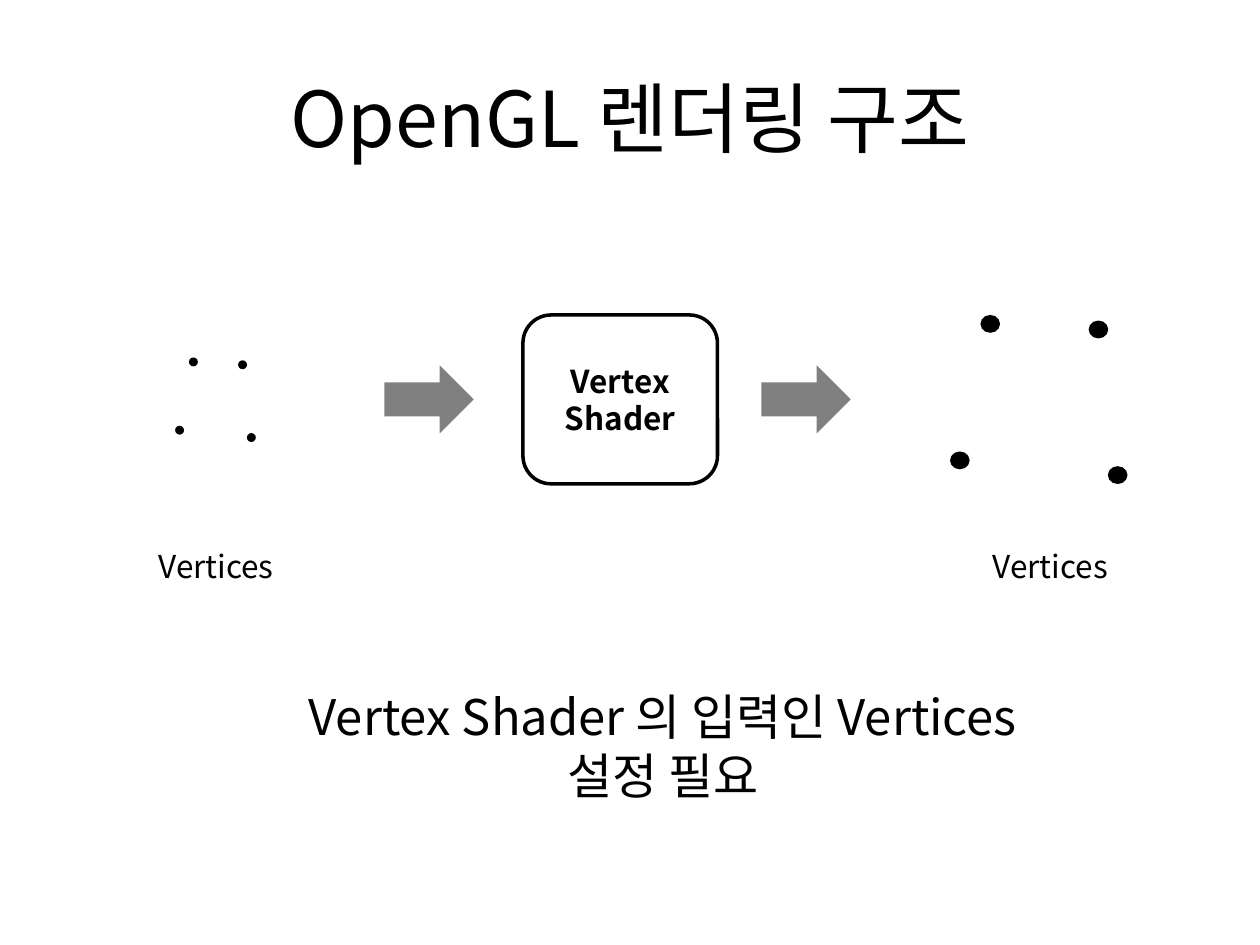
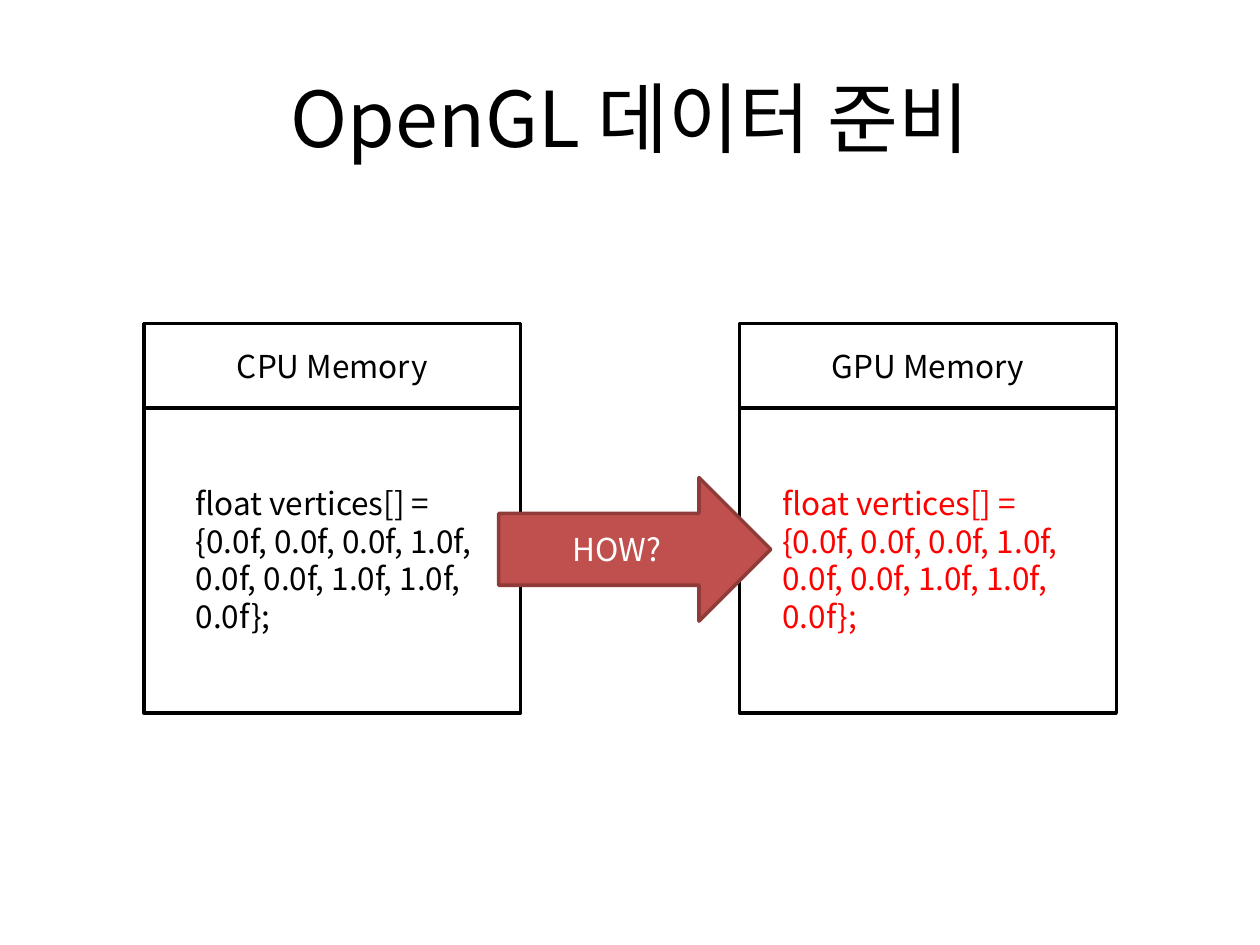
from pptx import Presentation
from pptx.dml.color import RGBColor
from pptx.enum.shapes import MSO_SHAPE
from pptx.enum.text import MSO_ANCHOR, PP_ALIGN
from pptx.oxml.ns import qn
from pptx.util import Pt
from lxml.etree import SubElement

FONT = "Noto Sans CJK KR"
BLACK, WHITE, GRAY = "000000", "FFFFFF", "808080"
RED, BRICK, DARK_BRICK = "FF0000", "C0504D", "8E3B39"
BLANK_LAYOUT = 6


def rgb(hex_code):
    """Turn a hex string into a colour."""
    return RGBColor.from_string(hex_code)


class Deck:
    """Holds the shared style and the current slide."""

    def __init__(self):
        """Start an empty 4:3 presentation."""
        self.presentation = Presentation()
        self.presentation.slide_width = Pt(720)
        self.presentation.slide_height = Pt(540)

    def new_slide(self, title):
        """Add a slide with its centred title."""
        layout = self.presentation.slide_layouts[BLANK_LAYOUT]
        self.slide = self.presentation.slides.add_slide(layout)
        self.text(title, 36, 21.6, 648, 90, size=44,
                  align=PP_ALIGN.CENTER, anchor=MSO_ANCHOR.MIDDLE)

    def set_label(self, shape, words, size, color, bold, align, anchor):
        """Put one styled paragraph into a shape."""
        frame = shape.text_frame
        frame.text = words
        frame.word_wrap = True
        frame.vertical_anchor = anchor
        paragraph = frame.paragraphs[0]
        paragraph.alignment = align
        for run in paragraph.runs:
            run.font.name = FONT
            run.font.size = Pt(size)
            run.font.bold = bold
            run.font.color.rgb = rgb(color)
            east_asian = SubElement(run._r.get_or_add_rPr(), qn("a:ea"))
            east_asian.set("typeface", FONT)

    def text(self, words, left, top, width, height, size=18, color=BLACK,
             align=PP_ALIGN.LEFT, anchor=MSO_ANCHOR.TOP):
        """Add a wrapped text box."""
        box = self.slide.shapes.add_textbox(
            Pt(left), Pt(top), Pt(width), Pt(height))
        self.set_label(box, words, size, color, False, align, anchor)

    def shape(self, kind, left, top, width, height, fill, line=None,
              words=None, color=BLACK, bold=False):
        """Add a flat preset shape, with a centred label if given."""
        shape = self.slide.shapes.add_shape(
            kind, Pt(left), Pt(top), Pt(width), Pt(height))
        shape.shadow.inherit = False
        shape.fill.solid()
        shape.fill.fore_color.rgb = rgb(fill)
        if line:
            shape.line.color.rgb = rgb(line)
            shape.line.width = Pt(2)
        else:
            shape.line.fill.background()
        if words:
            self.set_label(shape, words, 18, color, bold,
                           PP_ALIGN.CENTER, MSO_ANCHOR.MIDDLE)

    def vertices(self, left, top, scale_x=1, scale_y=1):
        """Draw the four corner dots, stretched by the given scales."""
        for x, y in ((7.9, 0), (0, 39), (41, 43.2), (36, 1.6)):
            self.shape(MSO_SHAPE.FLOWCHART_CONNECTOR,
                       left + x * scale_x, top + y * scale_y,
                       5.1 * scale_x, 5.1 * scale_y, BLACK)

    def memory(self, name, left):
        """Draw a memory block with its heading band."""
        for height, words in ((222.5, None), (48.3, name)):
            self.shape(MSO_SHAPE.FLOWCHART_PROCESS, left, 185, 215.3, height,
                       WHITE, BLACK, words)


deck = Deck()

deck.new_slide("OpenGL 렌더링 구조")
deck.vertices(100.1, 204.3)
deck.vertices(542.9, 180, scale_x=2.2, scale_y=2)
for arrow_left in (219.6, 435):
    deck.shape(MSO_SHAPE.RIGHT_ARROW, arrow_left, 208.8, 51.1, 38.9, GRAY)
for caption_left in (83.5, 560.2):
    deck.text("Vertices", caption_left, 308.9, 85, 28.8)
deck.shape(MSO_SHAPE.ROUNDED_RECTANGLE, 298.8, 180, 111.2, 96.5,
           WHITE, BLACK, "Vertex Shader", bold=True)
deck.text("Vertex Shader 의 입력인 Vertices 설정 필요", 169.2, 388.8, 419, 74.9,
          size=28, align=PP_ALIGN.CENTER)

deck.new_slide("OpenGL 데이터 준비")
deck.memory("GPU Memory", 422.6)
deck.memory("CPU Memory", 82.2)
vertex_code = ("float vertices[] = {0.0f, 0.0f, 0.0f, 1.0f, 0.0f, 0.0f, "
               "1.0f, 1.0f, 0.0f};")
for code_left, code_color in ((104.8, BLACK), (440, RED)):
    deck.text(vertex_code, code_left, 272.9, 180, 94.3, color=code_color)
deck.shape(MSO_SHAPE.RIGHT_ARROW, 285, 272.9, 155.5, 82.1,
           BRICK, DARK_BRICK, "HOW?", color=WHITE)

deck.presentation.save("out.pptx")
